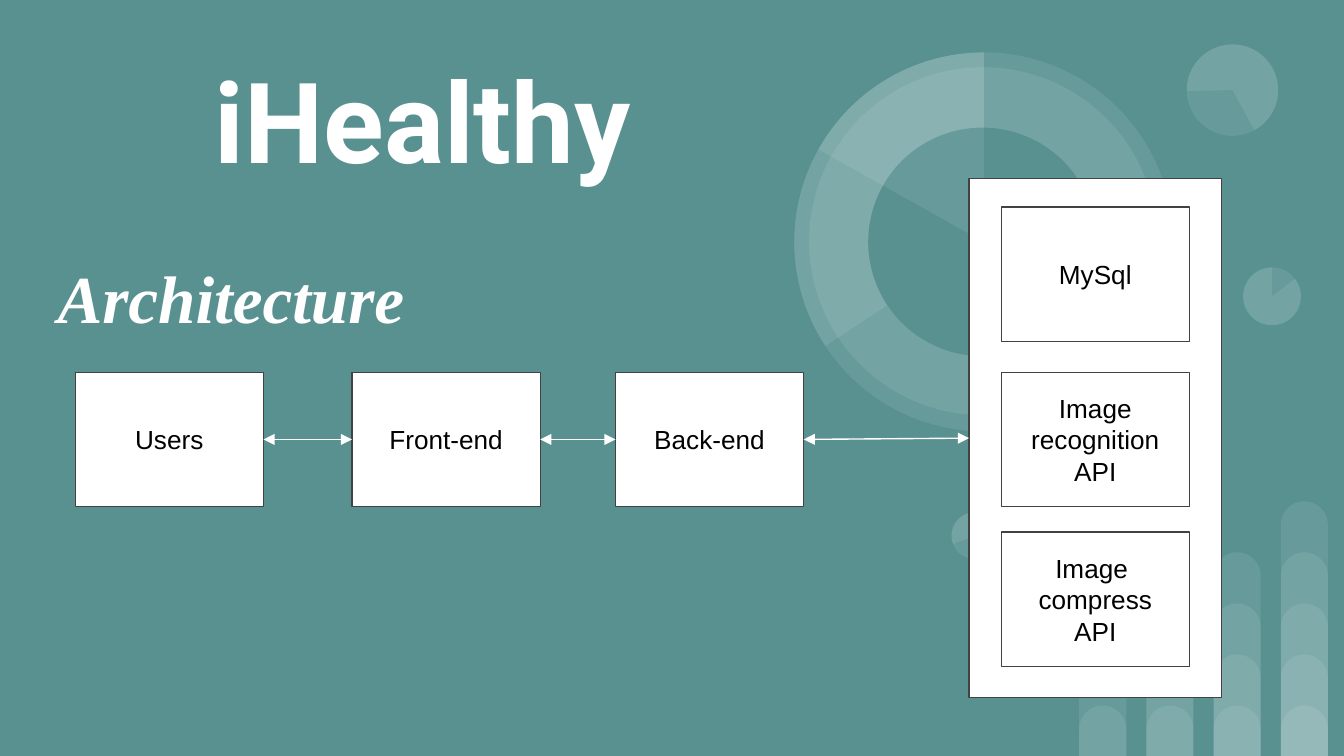
import pptx
import pptx.util
import pptx.dml.color
import pptx.enum.shapes
import pptx.enum.text
import pptx.oxml.ns
import lxml.etree

Inches, Pt = pptx.util.Inches, pptx.util.Pt
SHAPE = pptx.enum.shapes.MSO_SHAPE
ALIGN = pptx.enum.text.PP_ALIGN
ANCHOR = pptx.enum.text.MSO_ANCHOR
qn = pptx.oxml.ns.qn

# Content
COLORS = {"teal": "599191", "white": "FFFFFF", "edge": "424242", "black": "000000"}
BOX_W, BOX_H, ROW_Y = 1.4, 1, 2.77
FLOW = [("Users", 0.56), ("Front-end", 2.62), ("Back-end", 4.58)]
SERVICES = [
    (["MySql"], 1.54),
    (["Image recognition", "API"], ROW_Y),
    (["Image ", "compress", "API"], 3.96),
]
SERVICE_X = 7.45
PANEL = (7.21, 1.33, 1.88, 3.86)
HEADINGS = [
    ("iHealthy", (1.5, 0, 4.25, 1.76), ANCHOR.MIDDLE,
     {"name": "Roboto", "size": Pt(60), "bold": True}),
    ("Architecture", (0.33, 1.81, 6.95, 0.8), ANCHOR.TOP,
     {"name": "Times New Roman", "size": Pt(36), "bold": True, "italic": True}),
]
LABEL = {"name": "Arial", "size": Pt(14)}

# Background bars: each column stacks one more layer than the one before
BAR_LAYERS = [2, 3, 4, 5]
BAR_X, BAR_GAP, BAR_W, BAR_TOP, BAR_STEP = 8.03, 0.5, 0.35, 5.25, 0.38
SLIDE_W = 10
SLIDE_H = SLIDE_W * 9 / 16

# Background circles: left, top, diameter, rotation, pie angles or None, colour
# Pie angles are in units of 0.6 per degree; 162 is twelve o'clock
SMALL, TOP, TINY = (9.25, 1.99, 0.43, 0), (8.83, 0.33, 0.68, 215.9), (7.08, 3.81, 0.35, 196.2)
RING = (5.91, 0.39, 2.82, 0)
CIRCLES = [
    (SMALL, None, "tint"),
    (TINY, None, "tint"),
    (SMALL, (193.77, 162), "tint"),
    (TOP, None, "tint"),
    (TOP, (193.77, 123.14), "tint"),
    (RING, None, "tint"),
    ((6.02, 0.5, 2.59, 34.1), None, "tint"),
    (RING, (88.01, 162), "tint"),
    ((6.46, 0.95, 1.7, 34.1), None, "teal"),
    (RING, (125.54, 162), "tint"),
    (TINY, (193.77, 162), "tint"),
]


def rgb(name):
    return pptx.dml.color.RGBColor.from_string(COLORS[name])


def add_shape(kind, box, fill, line=None, adjustments=()):
    s = slide.shapes.add_shape(kind, *map(Inches, box))
    s.shadow.inherit = False
    s.fill.solid()
    s.fill.fore_color.rgb = rgb("white" if fill == "tint" else fill)
    if fill == "tint":
        color = s.fill._xPr.find(".//" + qn("a:srgbClr"))
        lxml.etree.SubElement(color, qn("a:alpha")).set("val", "9000")
    if line:
        s.line.color.rgb = rgb(line)
        s.line.width = Pt(0.75)
    else:
        s.line.fill.background()
    for i, value in enumerate(adjustments):
        s.adjustments[i] = value
    return s


def write(s, lines, font, color, align, anchor):
    tf = s.text_frame
    tf.word_wrap = True
    tf.vertical_anchor = anchor
    for side in ("left", "top", "right", "bottom"):
        setattr(tf, "margin_" + side, Inches(0.1))
    for i, line in enumerate(lines):
        p = tf.add_paragraph() if i else tf.paragraphs[0]
        p.alignment = align
        r = p.add_run()
        r.text = line
        r.font.color.rgb = rgb(color)
        for key, value in font.items():
            setattr(r.font, key, value)


def add_box(lines, left, top):
    s = add_shape(SHAPE.RECTANGLE, (left, top, BOX_W, BOX_H), "white", "edge")
    write(s, lines, LABEL, "black", ALIGN.CENTER, ANCHOR.MIDDLE)
    return s


def add_arrow(start, end):
    c = slide.shapes.add_connector(pptx.enum.shapes.MSO_CONNECTOR.STRAIGHT, 0, 0, 0, 0)
    c.begin_connect(start, 3)
    c.end_connect(end, 1)
    c.line.color.rgb = rgb("white")
    c.line.width = Pt(0.75)
    for tag in ("a:headEnd", "a:tailEnd"):
        lxml.etree.SubElement(c.line._get_or_add_ln(), qn(tag)).set("type", "triangle")
    lxml.etree.SubElement(c._element.spPr, qn("a:effectLst"))


prs = pptx.Presentation()
prs.slide_width, prs.slide_height = Inches(SLIDE_W), Inches(SLIDE_H)
slide = prs.slides.add_slide(prs.slide_layouts[6])
slide.background.fill.solid()
slide.background.fill.fore_color.rgb = rgb("teal")

# Background decoration
for column, layers in enumerate(BAR_LAYERS):
    for layer in range(layers):
        top = BAR_TOP - BAR_STEP * layer
        add_shape(SHAPE.ROUND_2_SAME_RECTANGLE,
                  (BAR_X + BAR_GAP * column, top, BAR_W, SLIDE_H - top),
                  "tint", adjustments=(0.5, 0))
for (left, top, size, rotation), angles, fill in CIRCLES:
    s = add_shape(SHAPE.PIE if angles else SHAPE.OVAL, (left, top, size, size),
                  fill, adjustments=angles or ())
    s.rotation = rotation

# Panel and headings
panel = add_shape(SHAPE.RECTANGLE, PANEL, "white", "edge")
for text, box, anchor, font in HEADINGS:
    s = slide.shapes.add_textbox(*map(Inches, box))
    write(s, [text], font, "white", ALIGN.LEFT, anchor)

# Architecture boxes, joined from left to right
chain = [add_box([name], left, ROW_Y) for name, left in FLOW] + [panel]
for lines, top in SERVICES:
    add_box(lines, SERVICE_X, top)
for start, end in zip(chain, chain[1:]):
    add_arrow(start, end)

prs.save("out.pptx")
